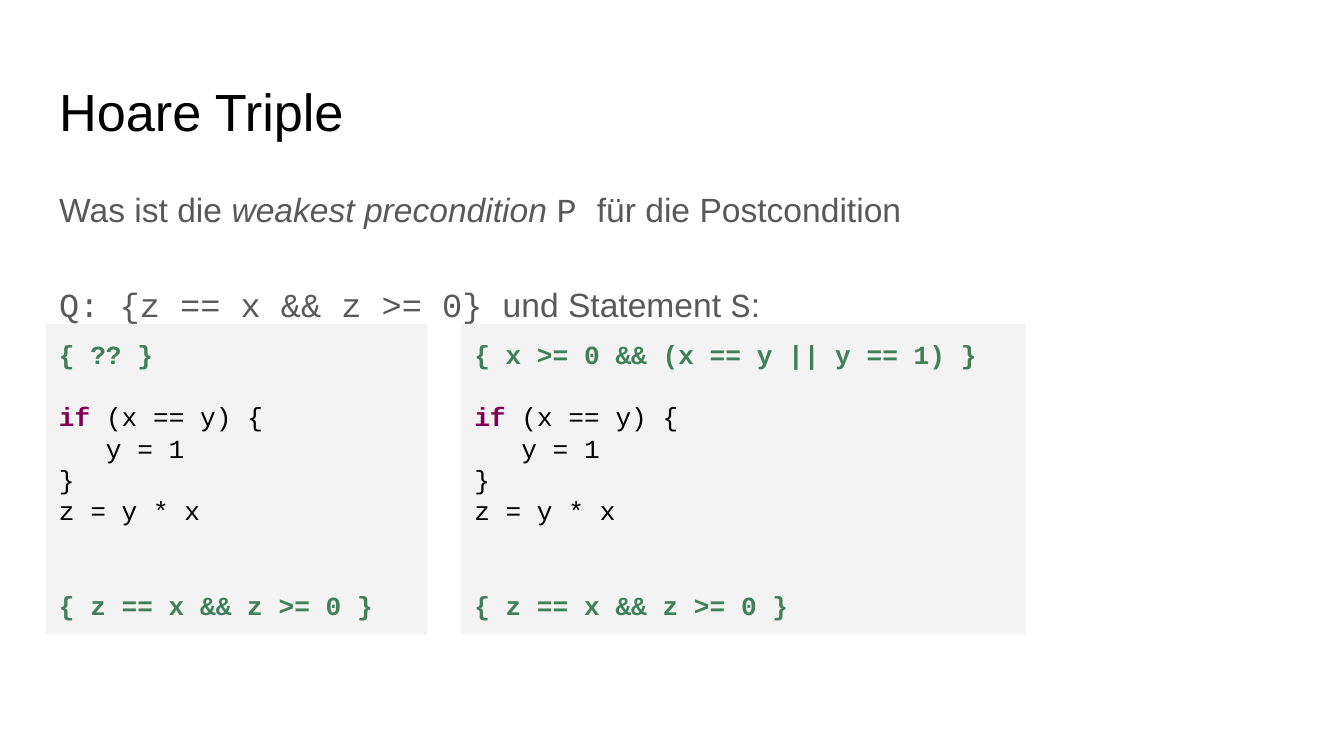
import pptx
import pptx.util
import pptx.dml.color
import pptx.enum.shapes
import pptx.enum.text
import lxml.etree

Pt = pptx.util.Pt
SANS, MONO = "Arial", "Courier New"
BLACK, GREY, PANEL = "000000", "595959", "F3F3F3"
ASSERTION, KEYWORD = "3F7F59", "7F0055"
MARGIN, INSET = 24.5, 7.2


def rgb(hex_color):
    return pptx.dml.color.RGBColor.from_string(hex_color)


def add_run(paragraph, text, font, size, color, bold=False, italic=False):
    run = paragraph.add_run()
    run.text = text
    run.font.name = font
    run.font.size = Pt(size)
    run.font.bold = bold
    run.font.italic = italic
    run.font.color.rgb = rgb(color)


def prepare_frame(frame, anchor):
    frame.word_wrap = True
    frame.auto_size = pptx.enum.text.MSO_AUTO_SIZE.NONE
    frame.vertical_anchor = anchor
    frame.margin_left = frame.margin_right = Pt(INSET)
    frame.margin_top = frame.margin_bottom = Pt(INSET)


def place(holder, top, height):
    holder.left, holder.top = Pt(MARGIN), Pt(top)
    holder.width, holder.height = Pt(671), Pt(height)
    prepare_frame(holder.text_frame, pptx.enum.text.MSO_ANCHOR.TOP)


def remove_bullet(paragraph):
    properties = paragraph._p.get_or_add_pPr()
    properties.set("marL", "0")
    properties.set("indent", "0")
    lxml.etree.SubElement(
        properties, pptx.oxml.ns.qn("a:buNone"))


def fill_title(title, text):
    place(title, 35.3, 45.4)
    heading = title.text_frame.paragraphs[0]
    heading.alignment = pptx.enum.text.PP_ALIGN.LEFT
    add_run(heading, text, SANS, 28, BLACK)


def fill_question(body, lines):
    place(body, 90.7, 62)
    for index, parts in enumerate(lines):
        frame = body.text_frame
        line = frame.paragraphs[0] if index == 0 else frame.add_paragraph()
        line.line_spacing = 1.15
        line.space_before = Pt(0)
        line.space_after = Pt(26)
        remove_bullet(line)
        for text, font, italic in parts:
            add_run(line, text, font, 18, GREY, italic=italic)


def add_code_panel(slide, left, width, precondition):
    panel = slide.shapes.add_shape(
        pptx.enum.shapes.MSO_SHAPE.RECTANGLE,
        Pt(left), Pt(173.5), Pt(width), Pt(166.3))
    panel.shadow.inherit = False
    panel.fill.solid()
    panel.fill.fore_color.rgb = rgb(PANEL)
    panel.line.fill.background()
    frame = panel.text_frame
    prepare_frame(frame, pptx.enum.text.MSO_ANCHOR.MIDDLE)

    # Each line: space before, then its runs
    line_height = 16.8
    code = [
        (0, [(precondition, ASSERTION, True)]),
        (line_height, [("if", KEYWORD, True), (" (x == y) {", BLACK, False)]),
        (0, [("   y = 1", BLACK, False)]),
        (0, [("}", BLACK, False)]),
        (0, [("z = y * x", BLACK, False)]),
        (2 * line_height, [("{ z == x && z >= 0 }", ASSERTION, True)]),
    ]
    for index, (gap, parts) in enumerate(code):
        line = frame.paragraphs[0] if index == 0 else frame.add_paragraph()
        line.alignment = pptx.enum.text.PP_ALIGN.LEFT
        line.line_spacing = Pt(line_height)
        line.space_before = Pt(gap)
        for text, color, bold in parts:
            add_run(line, text, MONO, 14, color, bold=bold)


def main():
    deck = pptx.Presentation()
    deck.slide_width, deck.slide_height = Pt(720), Pt(405)
    slide = deck.slides.add_slide(deck.slide_layouts[1])

    # Title and question
    fill_title(slide.shapes.title, "Hoare Triple")
    fill_question(slide.placeholders[1], [
        [("Was ist die ", SANS, False),
         ("weakest precondition ", SANS, True),
         ("P ", MONO, False),
         ("für die Postcondition", SANS, False)],
        [("Q: {z == x && z >= 0} ", MONO, False),
         ("und Statement ", SANS, False),
         ("S", MONO, False),
         (":", SANS, False)],
    ])

    # Open question on the left, solution on the right
    add_code_panel(slide, MARGIN, 204.5, "{ ?? }")
    add_code_panel(slide, 247, 302.4, "{ x >= 0 && (x == y || y == 1) }")

    deck.save("out.pptx")


if __name__ == "__main__":
    main()
